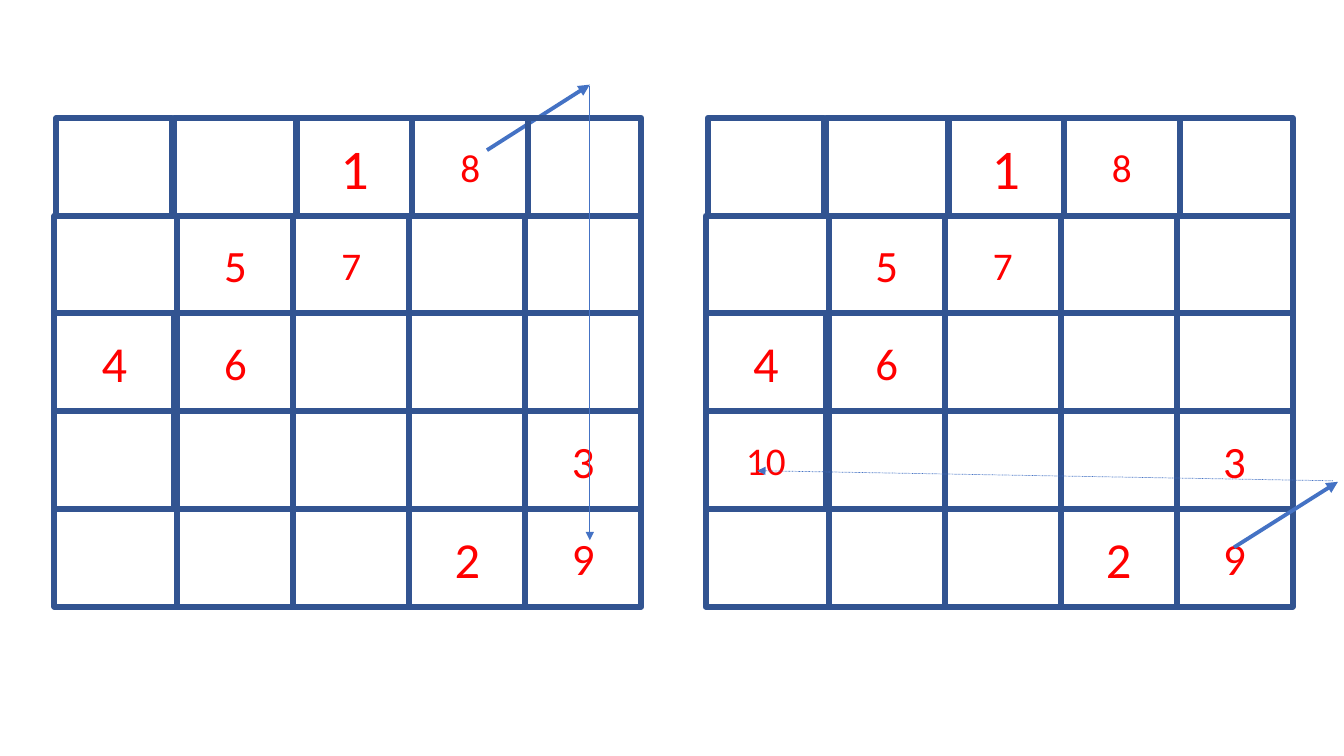
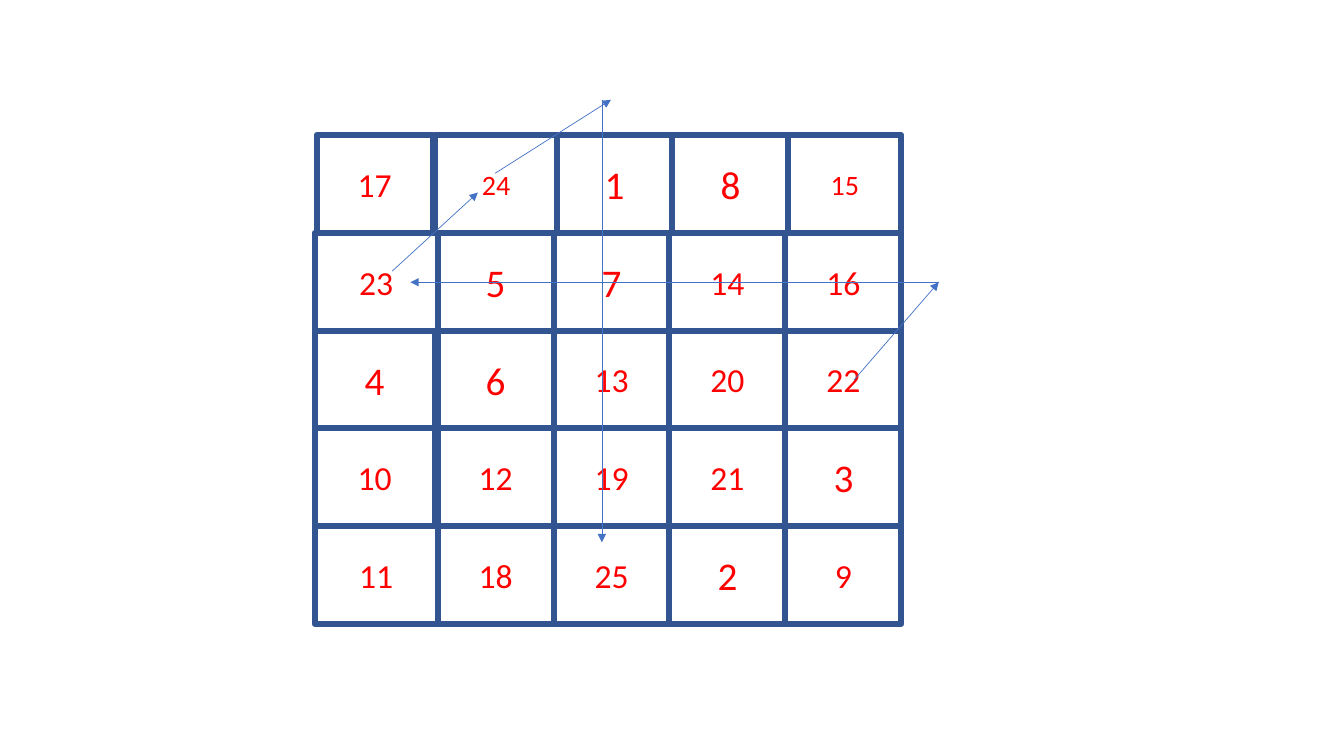
from dataclasses import dataclass, field
from typing import Optional

from pptx import Presentation
from pptx import util as u
from pptx.dml.color import RGBColor
from pptx.enum import dml, shapes, text
from pptx.oxml import ns
from pptx.oxml.xmlchemy import OxmlElement


@dataclass(frozen=True)
class Theme:
    border: RGBColor = RGBColor(0x32, 0x54, 0x91)
    arrow: RGBColor = RGBColor(0x44, 0x72, 0xC4)
    number: RGBColor = RGBColor(0xFF, 0x00, 0x00)
    font: str = "Calibri"
    border_width: float = 4.25
    thin: float = 0.5
    thick: float = 2.75
    tiny: int = 20
    small: int = 24
    medium: int = 28
    large: int = 32
    larger: int = 36
    largest: int = 40


THEME = Theme()


@dataclass(frozen=True)
class Span:
    offset: float
    width: float


@dataclass(frozen=True)
class Board:
    left: float
    top: float
    rows: tuple
    default_size: int
    sizes: dict = field(default_factory=dict)


@dataclass(frozen=True)
class Arrow:
    start: tuple
    end: tuple
    width: float = THEME.thin
    dash: Optional[dml.MSO_LINE] = None


ROW_HEIGHT = 0.97
CELL_WIDTH = 1.15
TOP_ROW = (Span(0.02, CELL_WIDTH), Span(1.19, 1.22), Span(2.4, CELL_WIDTH),
           Span(3.55, CELL_WIDTH), Span(4.7, 1.12))
INNER_COLUMNS = tuple(Span(1.22 + CELL_WIDTH * i, CELL_WIDTH) for i in range(4))
WIDE_ROW = (Span(0, 1.22), *INNER_COLUMNS)
NARROW_ROW = (Span(0, 1.19), *INNER_COLUMNS)
ROW_SPANS = (TOP_ROW, WIDE_ROW, NARROW_ROW, NARROW_ROW, WIDE_ROW)


def early_board(left: float, fourth_row_start: Optional[int] = None) -> Board:
    rows = (
        (None, None, 1, 8, None),
        (None, 5, 7, None, None),
        (4, 6, None, None, None),
        (fourth_row_start, None, None, None, 3),
        (None, None, None, 2, 9),
    )
    sizes = {1: THEME.largest, 2: THEME.larger, 4: THEME.larger,
             7: THEME.medium, 8: THEME.medium, 10: THEME.medium}
    return Board(left, 1.17, rows, THEME.large, sizes)


FULL_BOARD = Board(
    3.12, 1.34,
    (
        (17, 24, 1, 8, 15),
        (23, 5, 7, 14, 16),
        (4, 6, 13, 20, 22),
        (10, 12, 19, 21, 3),
        (11, 18, 25, 2, 9),
    ),
    THEME.small,
    {**{number: THEME.medium for number in range(1, 9)},
     15: THEME.tiny, 24: THEME.tiny},
)

FULL_BOARD_ARROWS = (
    Arrow((8.47, 3.77), (9.31, 2.8)),
    Arrow((9.31, 2.8), (4.07, 2.8)),
    Arrow((3.89, 2.69), (4.74, 1.91)),
    Arrow((4.91, 1.72), (6.06, 0.99)),
    Arrow((5.97, 0.99), (5.97, 5.38)),
)


def write_text(box, content: str, *, size: int, color: RGBColor = THEME.number,
               align: text.PP_ALIGN = text.PP_ALIGN.CENTER) -> None:
    frame = box.text_frame
    frame.word_wrap = True
    frame.vertical_anchor = text.MSO_ANCHOR.MIDDLE
    para = frame.paragraphs[0]
    para.alignment = align
    span = para.add_run()
    span.text = content
    span.font.name = THEME.font
    span.font.size = u.Pt(size)
    span.font.color.rgb = color


def draw_arrow(parent, arrow: Arrow) -> None:
    points = [u.Inches(value) for value in (*arrow.start, *arrow.end)]
    connector = parent.shapes.add_connector(shapes.MSO_CONNECTOR.STRAIGHT, *points)
    connector.line.color.rgb = THEME.arrow
    connector.line.width = u.Pt(arrow.width)
    if arrow.dash is not None:
        connector.line.dash_style = arrow.dash
    properties = connector.element.spPr
    head = OxmlElement("a:tailEnd")
    head.set("type", "triangle")
    properties.find(ns.qn("a:ln")).append(head)
    properties.append(OxmlElement("a:effectLst"))


def draw_board(page, board: Board):
    group = page.shapes.add_group_shape()
    for index, (numbers, spans) in enumerate(zip(board.rows, ROW_SPANS)):
        top = board.top + index * ROW_HEIGHT
        for number, column in zip(numbers, spans):
            cell = group.shapes.add_shape(
                shapes.MSO_SHAPE.RECTANGLE,
                u.Inches(board.left + column.offset), u.Inches(top),
                u.Inches(column.width), u.Inches(ROW_HEIGHT))
            cell.shadow.inherit = False
            cell.fill.background()
            cell.line.color.rgb = THEME.border
            cell.line.width = u.Pt(THEME.border_width)
            if number is not None:
                write_text(cell, str(number),
                           size=board.sizes.get(number, board.default_size))
    return group


def build_early_steps(page) -> None:
    draw_arrow(page, Arrow((4.83, 1.49), (5.85, 0.84), THEME.thick))
    draw_board(page, early_board(0.54))
    draw_arrow(page, Arrow((5.85, 0.85), (5.85, 5.36)))
    draw_board(page, early_board(7, fourth_row_start=10))
    draw_arrow(page, Arrow((12.24, 5.43), (13.27, 4.78), THEME.thick))
    draw_arrow(page, Arrow((13.22, 4.77), (7.51, 4.67), dash=dml.MSO_LINE.ROUND_DOT))


def build_full_square(page) -> None:
    group = draw_board(page, FULL_BOARD)
    for arrow in FULL_BOARD_ARROWS:
        draw_arrow(group, arrow)


def main() -> None:
    deck = Presentation()
    deck.slide_width = u.Inches(13.33)
    deck.slide_height = u.Inches(7.5)
    blank = deck.slide_layouts[6]
    for build in (build_early_steps, build_full_square):
        build(deck.slides.add_slide(blank))
    deck.save("out.pptx")


if __name__ == "__main__":
    main()
